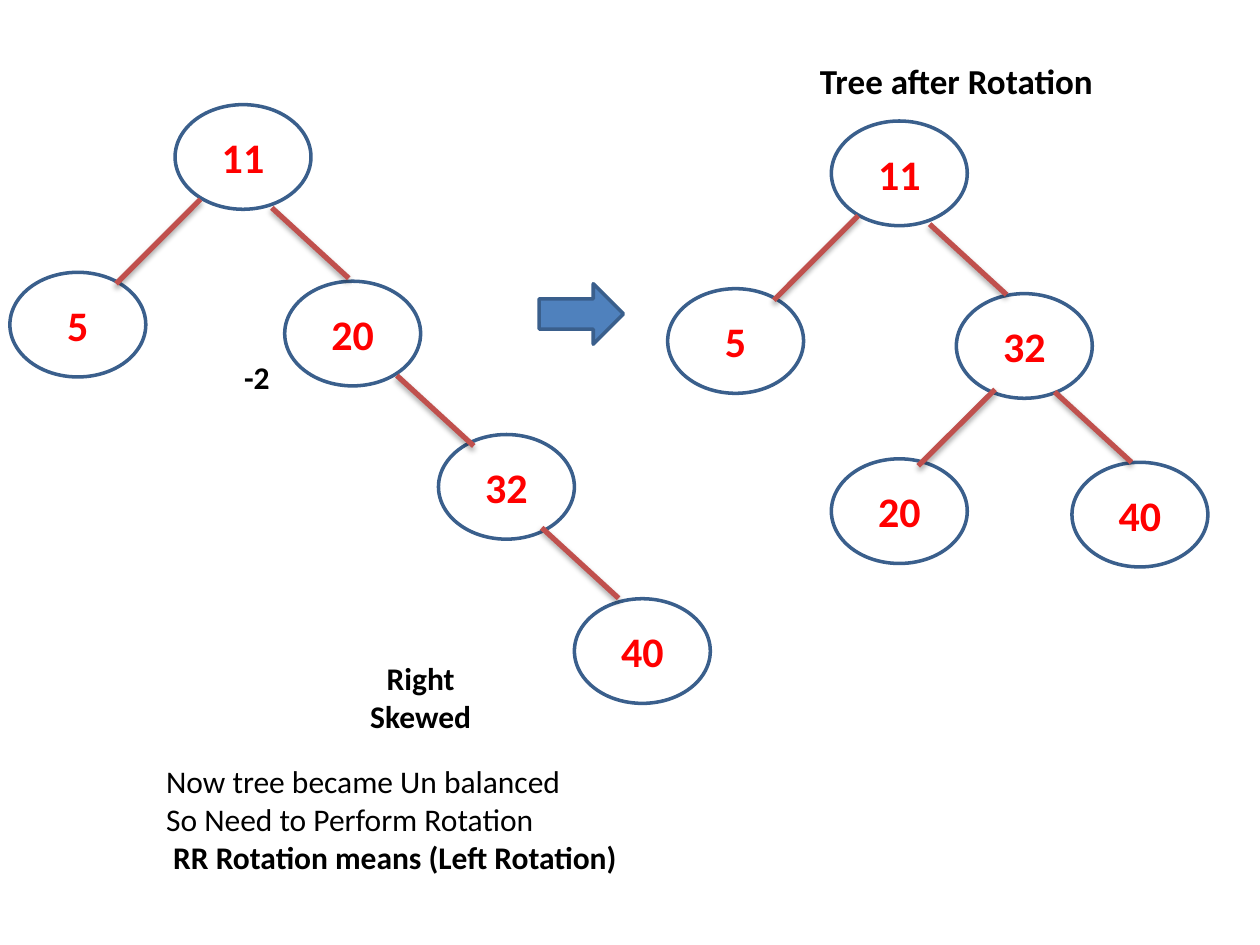
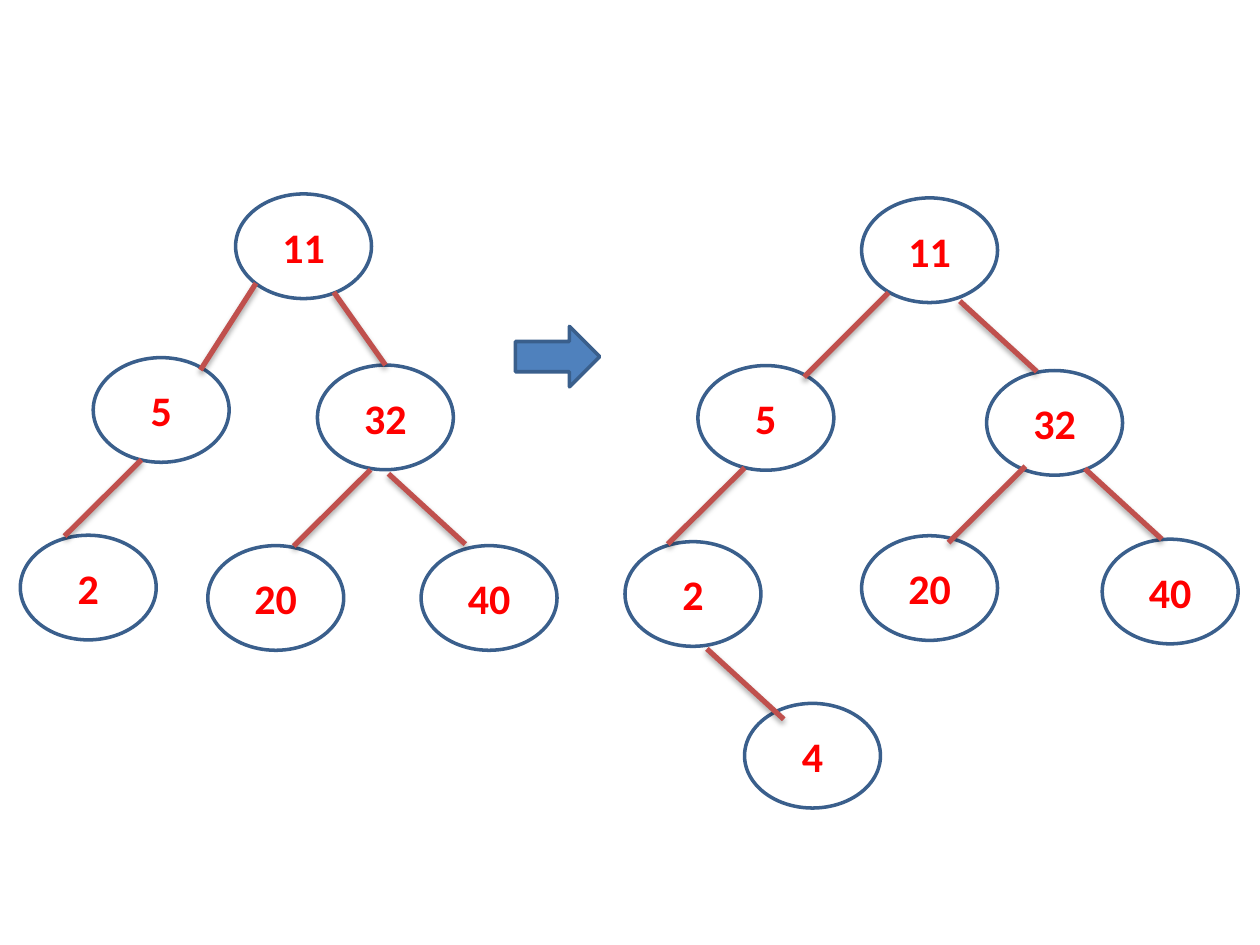
from lxml import etree
from pptx import Presentation
from pptx import util as u
from pptx.dml import color
from pptx.enum import shapes, text
from pptx.oxml import ns

COLOURS = {
    "outline": "3A5F8C",
    "arrow": "4F81BD",
    "edge": "C0504D",
    "key": "FF0000",
    "text": "000000",
}
FONT = "Calibri"
NODE_SIZE = (2.74, 2.11)
ARROW_SIZE = (1.7, 1.22)
LEFT, RIGHT = (-1.55, 1.54), (1.55, 1.42)
WIDE_LEFT = (-1.7, 1.7)
STEEP_LEFT, STEEP_RIGHT = (-1.12, 1.75), (1.04, 1.47)

SKEWED_TREE = {
    "nodes": {"11": (3.33, 0), "5": (0, 3.38), "20": (5.54, 3.56),
              "32": (8.64, 6.65), "40": (11.38, 9.96)},
    "edges": [((3.84, 1.91), WIDE_LEFT), ((5.28, 2.08), RIGHT),
              ((7.8, 5.46), RIGHT), ((10.72, 8.53), RIGHT)],
}
ROTATED_TREE = {
    "nodes": {"11": (3.3, 0), "5": (0, 3.38), "32": (5.82, 3.48),
              "20": (3.3, 6.81), "40": (8.15, 6.88)},
    "edges": [((3.84, 1.91), WIDE_LEFT), ((5.28, 2.08), RIGHT),
              ((6.6, 5.41), LEFT), ((7.8, 5.46), RIGHT)],
}
TREE_WITH_2 = {
    "nodes": {"11": (4.34, 0), "5": (1.47, 3.3), "32": (5.99, 3.45),
              "2": (0, 6.88), "20": (3.78, 7.09), "40": (8.08, 7.09)},
    "edges": [((4.75, 1.8), STEEP_LEFT), ((6.32, 1.98), STEEP_RIGHT),
              ((2.44, 5.36), LEFT), ((7.06, 5.56), LEFT), ((7.42, 5.64), RIGHT)],
}
TREE_WITH_4 = {
    "nodes": {**ROTATED_TREE["nodes"], "2": (-1.47, 6.93), "4": (0.94, 10.19)},
    "edges": ROTATED_TREE["edges"] + [((0.94, 5.44), LEFT), ((0.18, 9.09), RIGHT)],
}


def rgb(name):
    return color.RGBColor.from_string(COLOURS[name])


def lengths(*values):
    return [u.Cm(value) for value in values]


def format_paragraph(paragraph, size, colour, bold, alignment):
    paragraph.alignment = alignment
    for run in paragraph.runs:
        run.font.name = FONT
        run.font.size = u.Pt(size)
        run.font.bold = bold
        run.font.color.rgb = rgb(colour)


def add_outlined_shape(slide, kind, position, size):
    shape = slide.shapes.add_shape(kind, *lengths(*position, *size))
    shape.shadow.inherit = False
    shape.line.color.rgb = rgb("outline")
    shape.line.width = u.Pt(2)
    return shape


def add_node(slide, key, position):
    shape = add_outlined_shape(slide, shapes.MSO_SHAPE.OVAL, position, NODE_SIZE)
    shape.fill.background()
    frame = shape.text_frame
    frame.text = key
    frame.vertical_anchor = text.MSO_ANCHOR.MIDDLE
    format_paragraph(frame.paragraphs[0], 24, "key", True, text.PP_ALIGN.CENTER)


def add_edge(slide, start, step):
    end = [origin + offset for origin, offset in zip(start, step)]
    edge = slide.shapes.add_connector(
        shapes.MSO_CONNECTOR.STRAIGHT, *lengths(*start, *end))
    edge.line.color.rgb = rgb("edge")
    edge.line.width = u.Pt(3)
    effects = etree.SubElement(edge._element.spPr, ns.qn("a:effectLst"))
    shadow = etree.SubElement(
        effects, ns.qn("a:outerShdw"), blurRad="40000", dist="23000",
        dir="5400000", rotWithShape="0")
    shade = etree.SubElement(shadow, ns.qn("a:srgbClr"), val=COLOURS["text"])
    etree.SubElement(shade, ns.qn("a:alpha"), val="35000")


def add_tree(slide, tree, left, top):
    for key, (x, y) in tree["nodes"].items():
        add_node(slide, key, (left + x, top + y))
    for (x, y), step in tree["edges"]:
        add_edge(slide, (left + x, top + y), step)


def add_arrow(slide, left, top):
    arrow = add_outlined_shape(
        slide, shapes.MSO_SHAPE.RIGHT_ARROW, (left, top), ARROW_SIZE)
    arrow.fill.solid()
    arrow.fill.fore_color.rgb = rgb("arrow")


def add_label(slide, lines, box, size=18, alignment=text.PP_ALIGN.LEFT):
    frame = slide.shapes.add_textbox(*lengths(*box)).text_frame
    frame.word_wrap = True
    frame.auto_size = text.MSO_AUTO_SIZE.SHAPE_TO_FIT_TEXT
    frame.text = "\n".join(line for line, bold in lines)
    for paragraph, (line, bold) in zip(frame.paragraphs, lines):
        format_paragraph(paragraph, size, "text", bold, alignment)


def add_rotation_slide(presentation):
    slide = presentation.slides.add_slide(presentation.slide_layouts[6])
    centre = text.PP_ALIGN.CENTER
    add_tree(slide, SKEWED_TREE, 0.2, 2.11)
    add_label(slide, [("-2", True)], (4.67, 7.09, 1.07, 1.02))
    add_label(slide, [("Right Skewed", True)], (6.6, 13.16, 3.76, 1.8),
              alignment=centre)
    add_label(slide, [("Now tree became Un balanced", False),
                      ("So Need to Perform Rotation", False),
                      (" RR Rotation means (Left Rotation)", True)],
              (3.1, 15.24, 9.8, 2.57))
    add_arrow(slide, 10.87, 5.72)
    add_label(slide, [("Tree after Rotation", True)], (14.3, 1.07, 9.96, 1.12),
              size=20, alignment=centre)
    add_tree(slide, ROTATED_TREE, 13.46, 2.44)


def add_insertion_slide(presentation):
    slide = presentation.slides.add_slide(presentation.slide_layouts[6])
    add_tree(slide, TREE_WITH_2, 0.41, 3.91)
    add_arrow(slide, 10.39, 6.58)
    add_tree(slide, TREE_WITH_4, 14.07, 3.99)


presentation = Presentation()
presentation.slide_width, presentation.slide_height = lengths(25.4, 19.05)
add_rotation_slide(presentation)
add_insertion_slide(presentation)
presentation.save("out.pptx")
